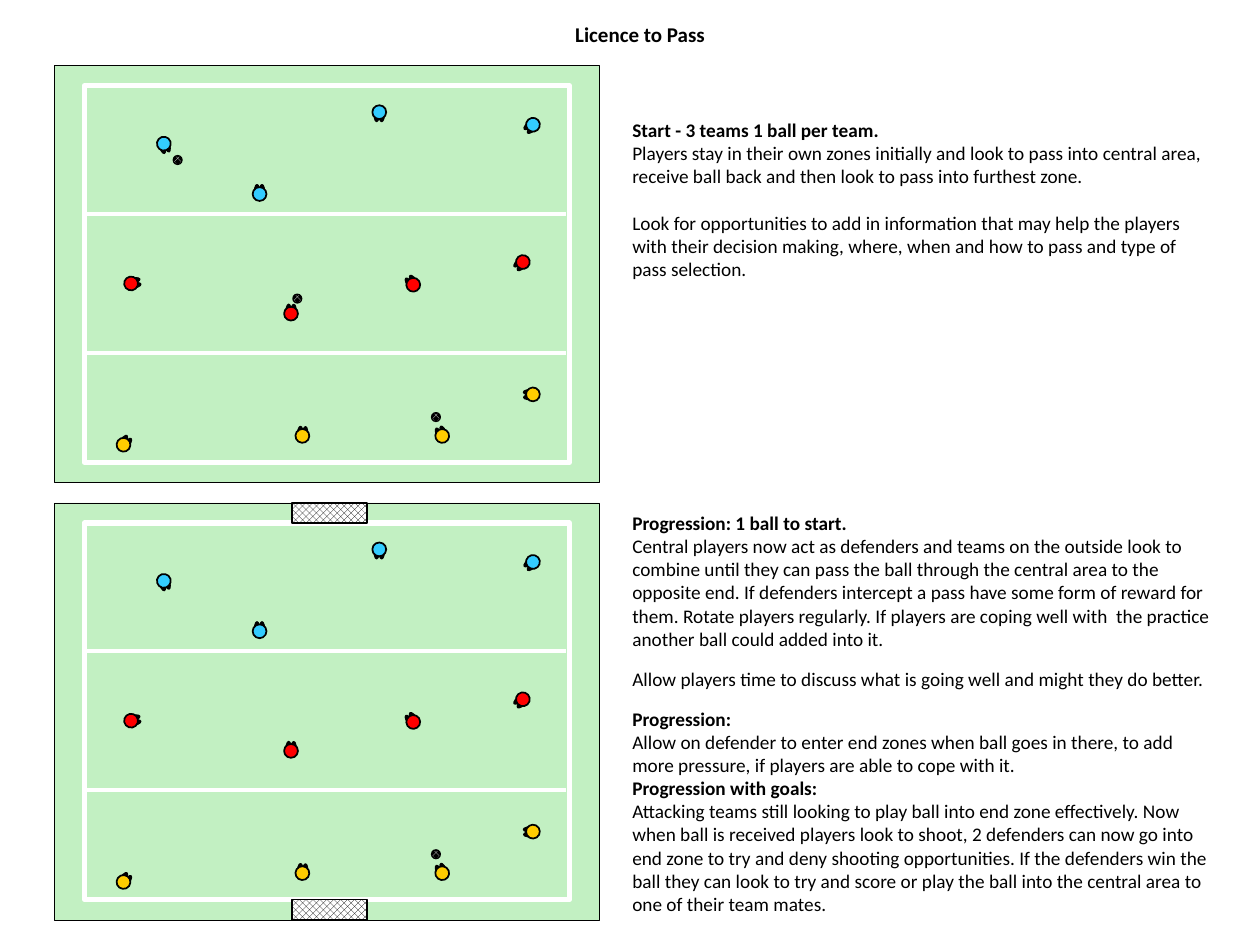
from math import cos, radians, sin

from lxml import etree
from pptx import Presentation
from pptx.dml.color import RGBColor
from pptx.enum.dml import MSO_PATTERN
from pptx.enum.shapes import MSO_CONNECTOR, MSO_SHAPE
from pptx.enum.text import PP_ALIGN
from pptx.oxml.ns import qn
from pptx.util import Inches, Pt

RECTANGLE = MSO_SHAPE.RECTANGLE
OVAL = MSO_SHAPE.OVAL
STRAIGHT = MSO_CONNECTOR.STRAIGHT
NET = MSO_PATTERN.OUTLINED_DIAMOND
BALL_PANELS = MSO_PATTERN.SOLID_DIAMOND
CENTER = PP_ALIGN.CENTER
LEFT = PP_ALIGN.LEFT

COLORS = {
    "black": "000000",
    "white": "FFFFFF",
    "grass": "C2F0C2",
    "blue": "33CCFF",
    "red": "FF0000",
    "yellow": "FFCC00",
}

PLAYERS = {
    "blue": [(3.8, 0.47, 228), (1.63, 1.02, 0), (2.58, 0.37, 181), (0.87, 0.62, 162)],
    "red": [(2.85, 1.74, 326), (0.61, 1.73, 79), (1.88, 1.97, 1), (3.72, 1.56, 228)],
    "yellow": [(1.97, 2.94, 4), (3.8, 2.61, 267), (3.08, 2.94, 337.5), (0.55, 3.01, 36)],
}
BLUE_BALL, RED_BALL, YELLOW_BALL = (0.98, 0.75), (1.93, 1.85), (3.03, 2.79)

PITCH_WIDTH, PITCH_HEIGHT = 4.33, 3.31
SIDE_MARGIN, END_MARGIN = 0.24, 0.16
ZONE_LINES = (1.18, 2.28)
GOAL_WIDTH, GOAL_HEIGHT, GOAL_LEFT = 0.59, 0.16, 1.89
HEAD, BALL = 0.11, 0.07
FOOT_WIDTH, FOOT_LENGTH = 0.04, 0.11
FOOT_SIDE, FOOT_FORWARD = 0.02, 0.02

START = [
    ("Start - 3 teams 1 ball per team.", True, 0),
    ("Players stay in their own zones initially and look to pass into central area, "
     "receive ball back and then look to pass into furthest zone.", False, 0),
    ("Look for opportunities to add in information that may help the players with their "
     "decision making, where, when and how to pass and type of pass selection.", False, 13.2),
]
PROGRESSION = [
    ("Progression: 1 ball to start.", True, 0),
    ("Central players now act as defenders and teams on the outside look to combine until "
     "they can pass the ball through the central area to the opposite end. If defenders "
     "intercept a pass have some form of reward for them. Rotate players regularly. If "
     "players are coping well with  the practice another ball could added into it.", False, 0),
    ("Allow players time to discuss what is going well and might they do better.", False, 9.7),
    ("Progression:", True, 9.7),
    ("Allow on defender to enter end zones when ball goes in there, to add more pressure, "
     "if players are able to cope with it.", False, 0),
    ("Progression with goals:", True, 0),
    ("Attacking teams still looking to play ball into end zone effectively. Now when ball "
     "is received players look to shoot, 2 defenders can now go into end zone to try and "
     "deny shooting opportunities. If the defenders win the ball they can look to try and "
     "score or play the ball into the central area to one of their team mates.", False, 0),
]


def rgb(name):
    return RGBColor.from_string(COLORS[name])


def draw(shapes, kind, left, top, width, height, fill, line, weight, pattern=None):
    shape = shapes.add_shape(kind, Inches(left), Inches(top), Inches(width), Inches(height))
    shape.shadow.inherit = False
    if pattern is not None:
        shape.fill.patterned()
        shape.fill.pattern = pattern
        shape.fill.fore_color.rgb, shape.fill.back_color.rgb = map(rgb, fill)
    elif fill:
        shape.fill.solid()
        shape.fill.fore_color.rgb = rgb(fill)
    else:
        shape.fill.background()
    shape.line.color.rgb = rgb(line)
    shape.line.width = Pt(weight)
    return shape


def draw_centred(shapes, x, y, width, height, fill, weight, pattern=None):
    return draw(shapes, OVAL, x - width / 2, y - height / 2, width, height,
                fill, "black", weight, pattern)


def add_player(slide, x, y, facing, team):
    parts = slide.shapes.add_group_shape().shapes
    turn = radians(facing)
    for side in (-FOOT_SIDE, FOOT_SIDE):
        foot_x = x + side * cos(turn) + FOOT_FORWARD * sin(turn)
        foot_y = y + side * sin(turn) - FOOT_FORWARD * cos(turn)
        foot = draw_centred(parts, foot_x, foot_y, FOOT_WIDTH, FOOT_LENGTH, "black", 0.75)
        foot.rotation = facing
    head = draw_centred(parts, x, y, HEAD, HEAD, team, 1)
    head.rotation = facing


def add_zone_line(slide, left, right, y):
    zone_line = slide.shapes.add_connector(
        STRAIGHT, Inches(left), Inches(y), Inches(right), Inches(y))
    zone_line.line.color.rgb = rgb("white")
    zone_line.line.width = Pt(2.25)
    etree.SubElement(zone_line._element.spPr, qn("a:effectLst"))


def add_pitch(slide, left, top, balls, goals=False):
    draw(slide.shapes, RECTANGLE, left, top, PITCH_WIDTH, PITCH_HEIGHT, "grass", "black", 0.25)
    draw(slide.shapes, RECTANGLE, left + SIDE_MARGIN, top + END_MARGIN,
         PITCH_WIDTH - 2 * SIDE_MARGIN, PITCH_HEIGHT - 2 * END_MARGIN, None, "white", 3)
    for y in ZONE_LINES:
        add_zone_line(slide, left + SIDE_MARGIN, left + 4.06, top + y)
    for team, positions in PLAYERS.items():
        for x, y, facing in positions:
            add_player(slide, left + x, top + y, facing, team)
    for x, y in balls:
        draw_centred(slide.shapes, left + x, top + y, BALL, BALL,
                     ("white", "black"), 0.75, BALL_PANELS)
    if goals:
        for y in (0, PITCH_HEIGHT - GOAL_HEIGHT):
            draw(slide.shapes, RECTANGLE, left + GOAL_LEFT, top + y, GOAL_WIDTH, GOAL_HEIGHT,
                 ("black", "white"), "black", 1, NET)


def add_text(slide, left, top, width, height, paragraphs, size, align=LEFT, inset=0.1):
    box = slide.shapes.add_textbox(Inches(left), Inches(top), Inches(width), Inches(height))
    frame = box.text_frame
    margins = {"margin_left": inset, "margin_right": inset,
               "margin_top": min(inset, 0.05), "margin_bottom": min(inset, 0.05)}
    for margin, value in margins.items():
        setattr(frame, margin, Inches(value))
    frame.word_wrap = True
    for index, (wording, bold, space) in enumerate(paragraphs):
        paragraph = frame.add_paragraph() if index else frame.paragraphs[0]
        paragraph.alignment = align
        if space:
            paragraph.space_before = Pt(space)
        run = paragraph.add_run()
        run.text = wording
        for attribute, value in {"name": "Calibri", "size": Pt(size), "bold": bold}.items():
            setattr(run.font, attribute, value)
        run.font.color.rgb = rgb("black")


def main():
    presentation = Presentation()
    presentation.slide_width, presentation.slide_height = Inches(10), Inches(7.5)
    slide = presentation.slides.add_slide(presentation.slide_layouts[6])
    add_text(slide, 3.19, 0.13, 3.78, 0.39, [("Licence to Pass", True, 0)], 12, CENTER, 0.04)
    add_pitch(slide, 0.43, 0.52, [BLUE_BALL, RED_BALL, YELLOW_BALL])
    add_pitch(slide, 0.43, 3.99, [YELLOW_BALL], goals=True)
    add_text(slide, 4.92, 0.89, 4.8, 1.4, START, 11)
    add_text(slide, 4.92, 4.01, 4.8, 3.3, PROGRESSION, 11)
    presentation.save("out.pptx")


if __name__ == "__main__":
    main()
